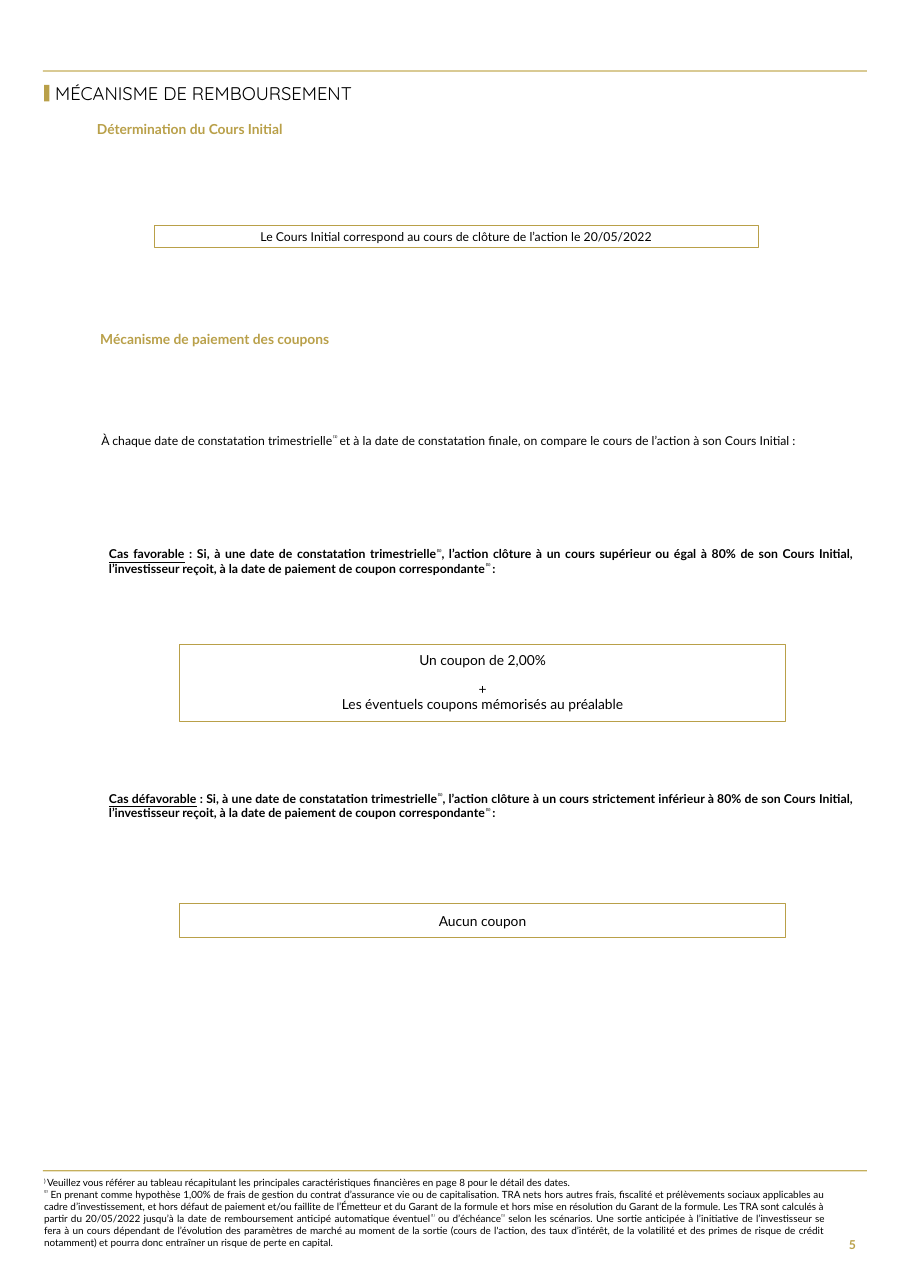
from dataclasses import dataclass

from lxml import etree
from pptx import Presentation
from pptx.dml.color import RGBColor
from pptx.enum.shapes import MSO_SHAPE
from pptx.enum.text import MSO_ANCHOR, MSO_AUTO_SIZE, PP_ALIGN
from pptx.util import Inches, Pt

RECT = MSO_SHAPE.RECTANGLE
TOP, MIDDLE = MSO_ANCHOR.TOP, MSO_ANCHOR.MIDDLE
LEFT, RIGHT, CENTER, JUSTIFY = PP_ALIGN.LEFT, PP_ALIGN.RIGHT, PP_ALIGN.CENTER, PP_ALIGN.JUSTIFY


@dataclass(frozen=True)
class Theme:
    gold: str = "B9A049"
    rule: str = "C5AF5C"
    ink: str = "000000"
    paper: str = "FFFFFF"
    body: str = "Lato"
    display: str = "Quicksand"
    title: float = 12
    heading: float = 9
    text: float = 8
    note: float = 6.5


T = Theme()
SUP, UNDER = "sup", "under"
REF = ("⁽¹⁾", SUP)

TITLE = "MÉCANISME DE REMBOURSEMENT"
PAGE = "5"
HEADINGS = [
    ("Détermination du Cours Initial", (10.64, 9.41, 38.33, 1.54)),
    ("Mécanisme de paiement des coupons", (11, 25.66, 79.44, 1.45)),
]
COMPARISON = [
    "À chaque date de constatation trimestrielle",
    ("⁽¹⁾ ", SUP),
    "et à la date de constatation finale, on compare le cours de l’action à son Cours Initial :",
]
CASES = [
    ("Cas favorable", "supérieur ou égal", 42.43),
    ("Cas défavorable", "strictement inférieur", 61.42),
]
BOXES = [
    (["Le Cours Initial correspond au cours de clôture de l’action le 20/05/2022"],
     (16.93, 17.54, 66.38, 1.71), T.text, None, 0.5),
    (["Un coupon de 2,00%", "+", "Les éventuels coupons mémorisés au préalable"],
     (19.71, 50.04, 66.51, 5.99), T.heading, T.paper, 0.75),
    (["Aucun coupon"], (19.71, 70.15, 66.51, 2.65), T.heading, T.paper, 0.75),
]
NOTES = [
    [(") ", SUP),
     "Veuillez vous référer au tableau récapitulant les principales caractéristiques "
     "financières en page 8 pour le détail des dates."],
    [("⁽²⁾", SUP),
     " En prenant comme hypothèse 1,00% de frais de gestion du contrat d’assurance vie ou de "
     "capitalisation. TRA nets hors autres frais, fiscalité et prélèvements sociaux applicables "
     "au cadre d’investissement, et hors défaut de paiement et/ou faillite de l’Émetteur et du "
     "Garant de la formule et hors mise en résolution du Garant de la formule. Les TRA sont "
     "calculés à partir du 20/05/2022 jusqu’à la date de remboursement anticipé automatique "
     "éventuel",
     REF, " ou d’échéance", REF,
     " selon les scénarios. Une sortie anticipée à l’initiative de l’investisseur se fera à un "
     "cours dépendant de l’évolution des paramètres de marché au moment de la sortie (cours de "
     "l'action, des taux d’intérêt, de la volatilité et des primes de risque de crédit "
     "notamment) et pourra donc entraîner un risque de perte en capital."],
]

prs = Presentation()
prs.slide_width, prs.slide_height = Inches(8.27), Inches(11.69)
slide = prs.slides.add_slide(prs.slide_layouts[5])


def place(x, y, w, h):
    px, py = prs.slide_width / 100, prs.slide_height / 100
    return round(x * px), round(y * py), round(w * px), round(h * py)


def write(sp, paragraphs, size=T.text, color=T.ink, font=T.body, bold=False,
          align=JUSTIFY, anchor=TOP, spacing=1.0, gaps=(), inset=0):
    tf = sp.text_frame
    tf.word_wrap = True
    tf.auto_size = MSO_AUTO_SIZE.NONE
    tf.vertical_anchor = anchor
    tf.margin_left = tf.margin_right = Inches(inset)
    tf.margin_top = tf.margin_bottom = 0
    for i, parts in enumerate(paragraphs):
        p = tf.add_paragraph() if i else tf.paragraphs[0]
        p.alignment, p.line_spacing = align, spacing
        p.space_before = Pt(gaps[i] if i < len(gaps) else 0)
        for part in [parts] if isinstance(parts, str) else parts:
            text, style = (part, None) if isinstance(part, str) else part
            r = p.add_run()
            r.text = text
            r.font.name, r.font.size, r.font.bold = font, Pt(size), bold
            r.font.color.rgb = RGBColor.from_string(color)
            r.font.underline = style == UNDER
            if style == SUP:
                r.font._element.set("baseline", "30000")


def text_box(area, paragraphs, **fmt):
    write(slide.shapes.add_textbox(*place(*area)), paragraphs, **fmt)


def rect(area, fill=None, line=None, width=0.75):
    sp = slide.shapes.add_shape(RECT, *place(*area))
    sp.shadow.inherit = False
    for part, color in ((sp.fill, fill), (sp.line.fill, line)):
        if color:
            part.solid()
            part.fore_color.rgb = RGBColor.from_string(color)
        else:
            part.background()
    if line:
        sp.line.width = Pt(width)
    return sp


for y in (5.47, 90.85):
    rect((4.72, y, 90.45, 0.09), fill=T.rule)

title = slide.shapes.title
title.left, title.top, title.width, title.height = place(6.05, 6.24, 50.91, 2.14)
write(title, [TITLE], size=T.title, font=T.display, align=LEFT, anchor=MIDDLE, spacing=0.9)
rect((4.84, 6.59, 0.6, 1.28), fill=T.gold)

for heading, area in HEADINGS:
    text_box(area, [heading], size=T.heading, color=T.gold, bold=True, align=LEFT)

text_box((11.12, 33.62, 79.44, 1.11), [COMPARISON])

for name, level, y in CASES:
    condition = [
        (name, UNDER), " : Si, à une date de constatation trimestrielle", REF,
        f", l’action clôture à un cours {level} à 80% de son Cours Initial, l’investisseur "
        "reçoit, à la date de paiement de coupon correspondante",
        ("⁽¹⁾ ", SUP), ":",
    ]
    text_box((11.97, y, 81.74, 2.31), [condition], bold=True)

for lines, area, size, fill, width in BOXES:
    write(rect(area, fill, T.gold, width), lines, size=size, align=CENTER, anchor=MIDDLE,
          spacing=0.9 if len(lines) > 1 else 1.0, gaps=(0, 9.7), inset=0.12)

text_box((4.84, 91.36, 85.73, 5.65), NOTES, size=T.note)
text_box((90.45, 94.87, 4.72, 3.59), [PAGE], color=T.gold, bold=True,
         align=RIGHT, anchor=MIDDLE, inset=0.1)

prs.save("out.pptx")
